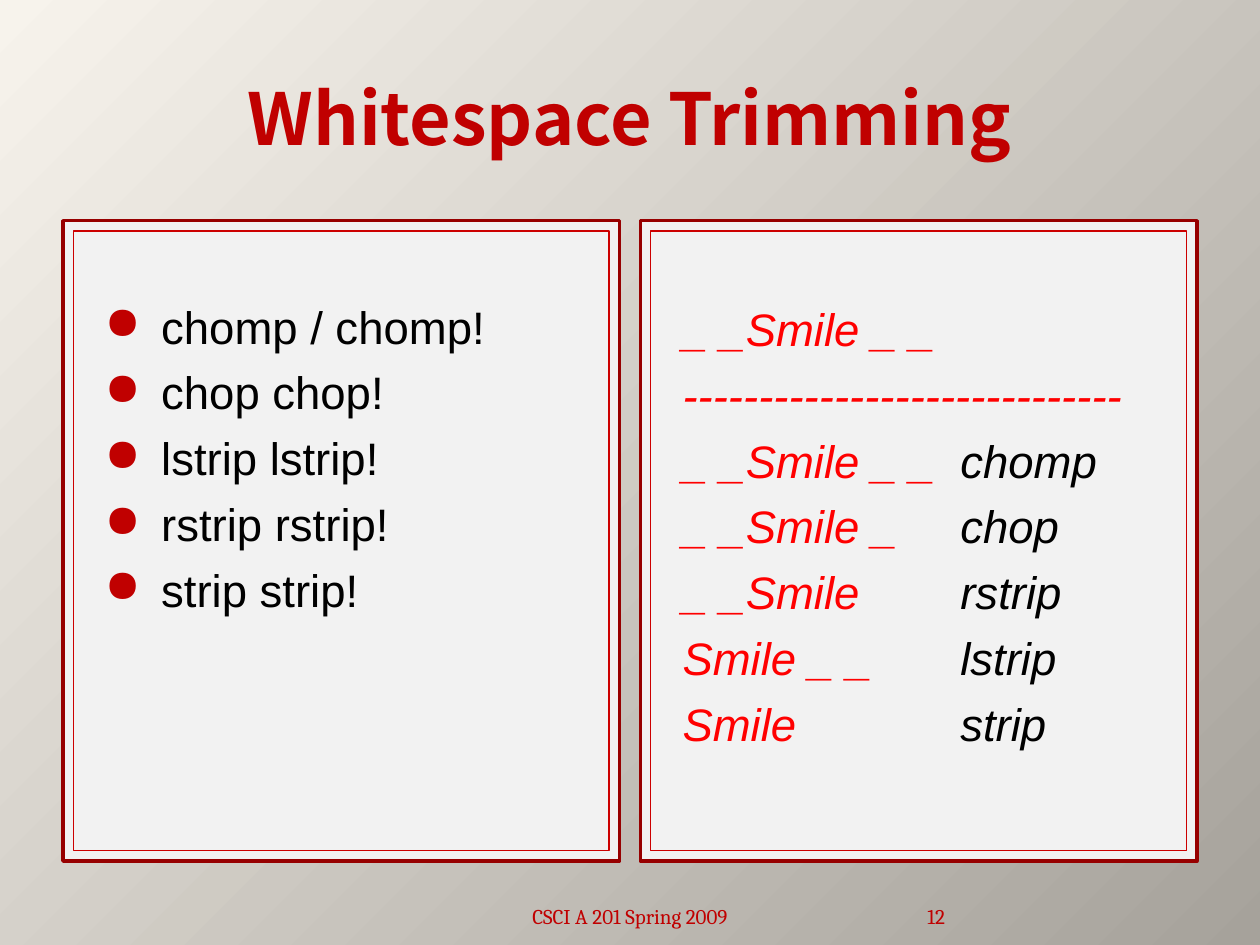
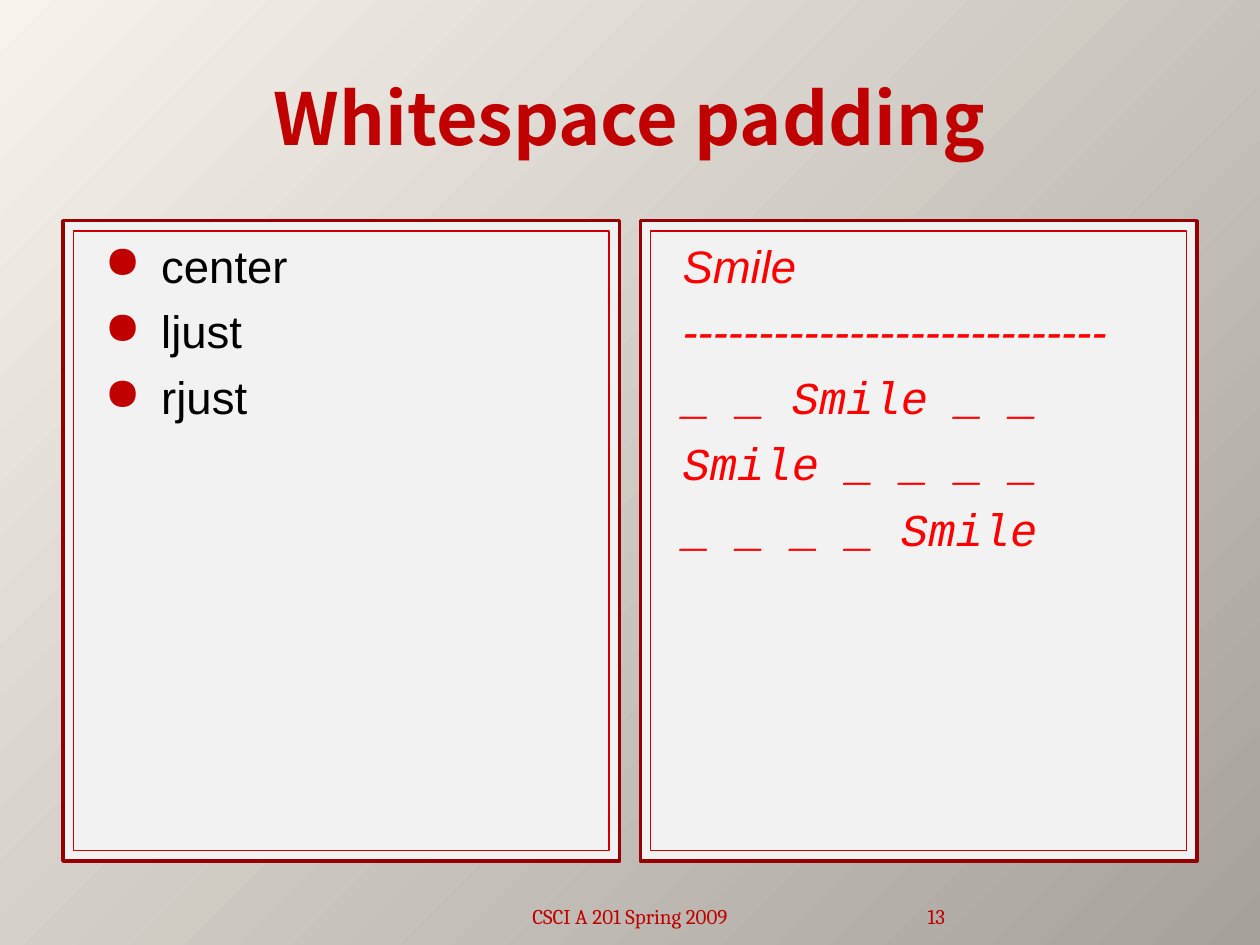
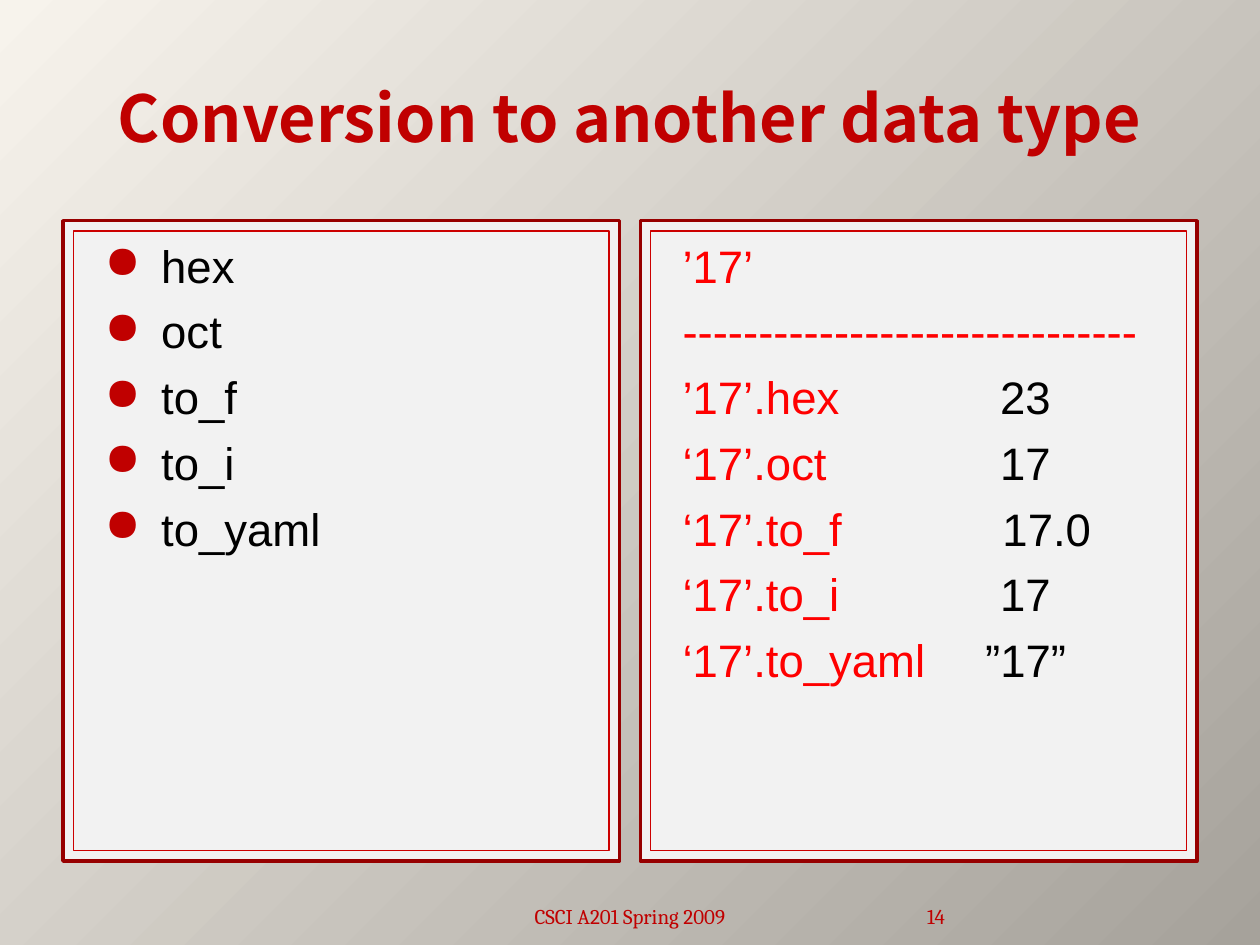
import pptx
import pptx.dml.color
import pptx.enum.shapes
import pptx.enum.text
import pptx.oxml.ns
import pptx.util
from lxml import etree

Cm = pptx.util.Cm
Pt = pptx.util.Pt
ALIGN = pptx.enum.text.PP_ALIGN
ANCHOR = pptx.enum.text.MSO_ANCHOR

COLORS = {
    "light": "F7F3EC",
    "dark": "A6A29B",
    "panel": "F2F2F2",
    "frame": "970000",
    "border": "CC0000",
    "accent": "C00000",
    "code": "FF0000",
    "text": "000000",
}

SLIDE_WIDTH, SLIDE_HEIGHT = 25.4, 19.05
MARGIN = 1.27
FRAME_TOP, FRAME_WIDTH, FRAME_HEIGHT = 4.45, 11.22, 12.91
PANEL_INSET = 0.21
LEFT_PANEL = MARGIN
RIGHT_PANEL = SLIDE_WIDTH - MARGIN - FRAME_WIDTH
TEXT_TOP = 0.13
BODY_SIZE = 26
LINE_GAP = 6.4


def color(name):
    return pptx.dml.color.RGBColor.from_string(COLORS[name])


def add_element(parent, tag, **attributes):
    element = etree.SubElement(parent, pptx.oxml.ns.qn(tag))
    for key, value in attributes.items():
        element.set(key, str(value))
    return element


class Slides:
    def __init__(self):
        self.deck = pptx.Presentation()
        self.deck.slide_width = Cm(SLIDE_WIDTH)
        self.deck.slide_height = Cm(SLIDE_HEIGHT)
        self.page = None

    def add_page(self, title, footer, number, title_size=41):
        self.page = self.deck.slides.add_slide(self.deck.slide_layouts[6])
        fill = self.page.background.fill
        fill.gradient()
        fill.gradient_angle = 315
        for stop, name in zip(fill.gradient_stops, ("light", "dark")):
            stop.color.rgb = color(name)
        self.add_label(title, (MARGIN, 0.76, 22.86, 3.18), title_size,
                       "Noto Sans CJK SC", ALIGN.CENTER, ANCHOR.MIDDLE, bold=True)
        self.add_label(footer, (8.68, 17.84, 8.04, 1.01), 12,
                       "Cambria", ALIGN.CENTER, ANCHOR.BOTTOM)
        self.add_label(str(number), (16.93, 17.84, 2.12, 1.01), 12,
                       "Cambria", ALIGN.RIGHT, ANCHOR.BOTTOM, side=0)

    def add_span(self, para, text, size, font, color_name, bold=False, italic=False):
        span = para.add_run()
        span.text = text
        span.font.size = Pt(size)
        span.font.name = font
        span.font.bold = bold
        span.font.italic = italic
        span.font.color.rgb = color(color_name)

    def add_label(self, text, place, size, font, align, anchor, bold=False, side=0.25):
        frame = self.page.shapes.add_textbox(*map(Cm, place)).text_frame
        frame.word_wrap = True
        frame.vertical_anchor = anchor
        frame.margin_left = frame.margin_right = Cm(side)
        para = frame.paragraphs[0]
        para.alignment = align
        self.add_span(para, text, size, font, "accent", bold)

    def add_box(self, place, line_name, line_width):
        box = self.page.shapes.add_shape(
            pptx.enum.shapes.MSO_SHAPE.RECTANGLE, *map(Cm, place))
        box.shadow.inherit = False
        box.fill.solid()
        box.fill.fore_color.rgb = color("panel")
        box.line.color.rgb = color(line_name)
        box.line.width = Pt(line_width)
        return box

    def add_panel(self, left, side, top):
        self.add_box((left, FRAME_TOP, FRAME_WIDTH, FRAME_HEIGHT), "frame", 2)
        box = self.add_box((left + PANEL_INSET, FRAME_TOP + PANEL_INSET,
                            FRAME_WIDTH - 2 * PANEL_INSET,
                            FRAME_HEIGHT - 2 * PANEL_INSET), "border", 0.75)
        frame = box.text_frame
        frame.word_wrap = True
        frame.vertical_anchor = ANCHOR.TOP
        frame.margin_left = Cm(side)
        frame.margin_top = Cm(top)
        return frame

    def add_line(self, frame, index):
        para = frame.add_paragraph() if index else frame.paragraphs[0]
        para.alignment = ALIGN.LEFT
        if index:
            para.space_before = Pt(LINE_GAP)
        return para

    def add_bullets(self, items, top=TEXT_TOP):
        frame = self.add_panel(LEFT_PANEL, 0.25, top)
        for index, item in enumerate(items):
            para = self.add_line(frame, index)
            properties = para._p.get_or_add_pPr()
            properties.set("marL", str(Cm(1.52)))
            properties.set("indent", str(Cm(-1.14)))
            tint = add_element(properties, "a:buClr")
            add_element(tint, "a:srgbClr", val=COLORS["accent"])
            add_element(properties, "a:buChar", char="●")
            self.add_span(para, item, BODY_SIZE, "Arial", "text")

    def add_examples(self, lines, top=TEXT_TOP, italic=True):
        frame = self.add_panel(RIGHT_PANEL, 0.64, top)
        for index, (code, result, tab, font) in enumerate(lines):
            para = self.add_line(frame, index)
            if result:
                tabs = add_element(para._p.get_or_add_pPr(), "a:tabLst")
                add_element(tabs, "a:tab", pos=Cm(tab), algn="l")
                code += "\t"
            self.add_span(para, code, BODY_SIZE, font, "code", italic=italic)
            if result:
                self.add_span(para, result, BODY_SIZE, font, "text", italic=italic)


def example(code, result="", tab=0, font="Arial"):
    return code, result, tab, font


def main():
    slides = Slides()

    slides.add_page("Whitespace Trimming", "CSCI A 201 Spring 2009", 12)
    slides.add_bullets(["chomp / chomp!", "chop chop!", "lstrip lstrip!",
                        "rstrip rstrip!", "strip strip!"], top=1.36)
    trimmed = [("_ _Smile _ _", "chomp"), ("_ _Smile _", "chop"),
               ("_ _Smile", "rstrip"), ("Smile _ _", "lstrip"), ("Smile", "strip")]
    slides.add_examples(
        [example("_ _Smile _ _"), example("-" * 29)]
        + [example(code, method, 5.6) for code, method in trimmed], top=1.41)

    slides.add_page("Whitespace padding", "CSCI A 201 Spring 2009", 13)
    slides.add_bullets(["center", "ljust", "rjust"])
    padded = ["_ _ Smile _ _", "Smile _ _ _ _", "_ _ _ _ Smile"]
    slides.add_examples(
        [example("Smile"), example("-" * 28)]
        + [example(code, font="Courier New") for code in padded])

    slides.add_page("Conversion to another data type", "CSCI A201 Spring 2009", 14,
                    title_size=36.9)
    slides.add_bullets(["hex", "oct", "to_f", "to_i", "to_yaml"])
    converted = [("’17’.hex", "23", 6.4), ("‘17’.oct", "17", 6.4),
                 ("‘17’.to_f", "17.0", 6.45), ("‘17’.to_i", "17", 6.4),
                 ("‘17’.to_yaml", "”17”", 6.1)]
    slides.add_examples(
        [example("’17’"), example("-" * 30)]
        + [example(*conversion) for conversion in converted], italic=False)

    slides.deck.save("out.pptx")


if __name__ == "__main__":
    main()
